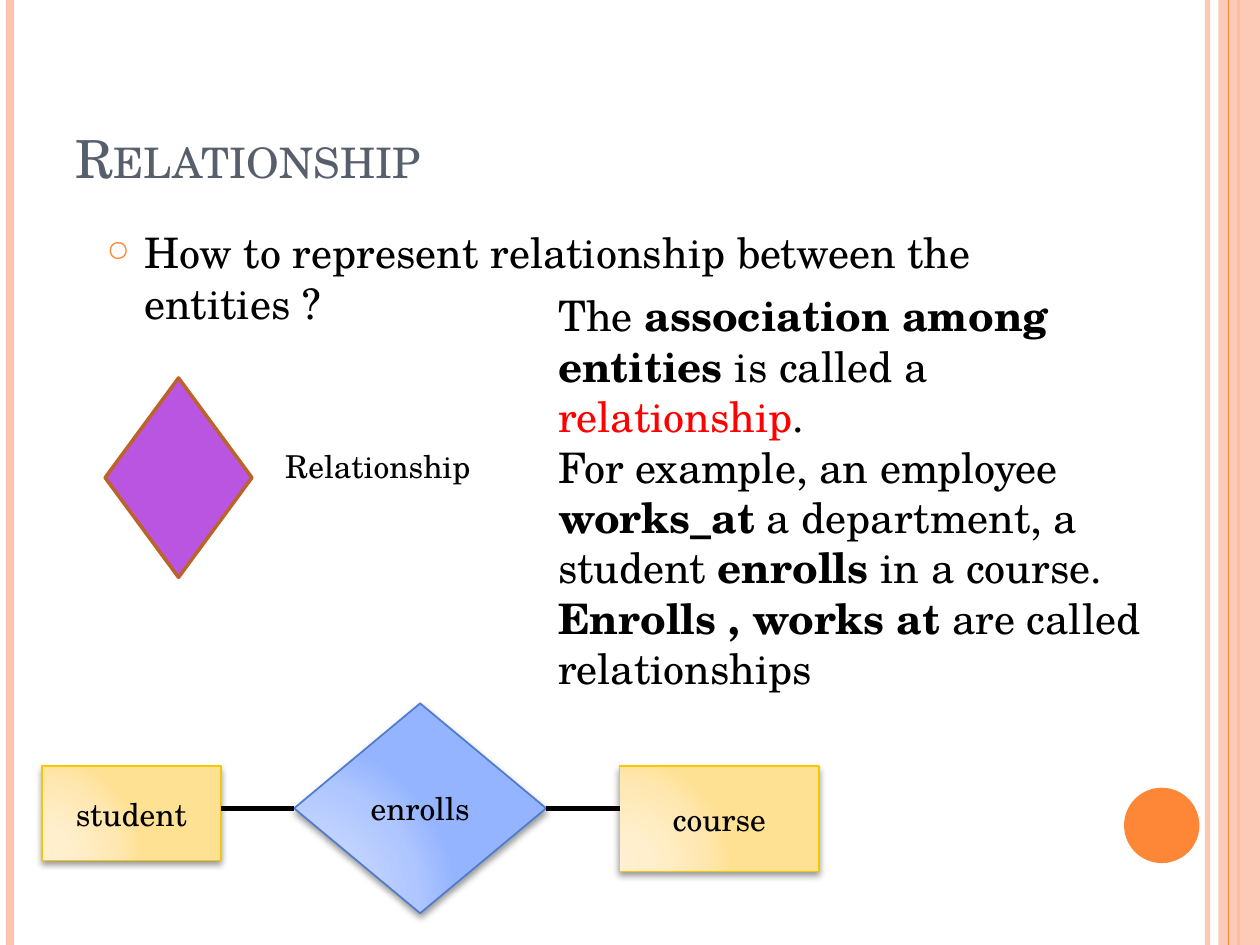
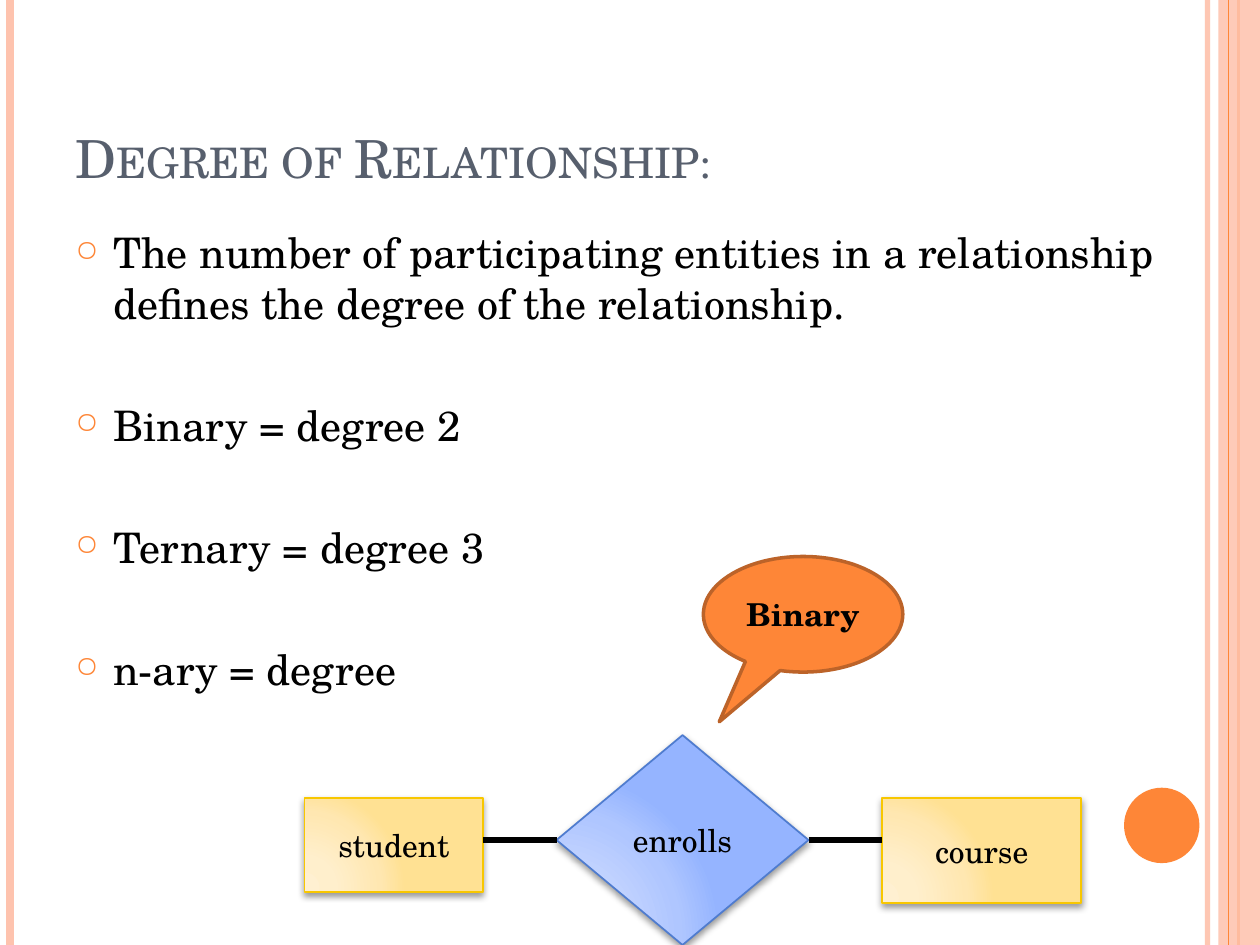
from dataclasses import dataclass

from pptx import Presentation
from pptx.dml.color import RGBColor
from pptx.enum.shapes import MSO_CONNECTOR, MSO_SHAPE
from pptx.enum.text import MSO_ANCHOR, PP_ALIGN
from pptx.oxml import parse_xml
from pptx.oxml.ns import nsdecls, qn
from pptx.util import Cm, Pt
from lxml.etree import SubElement


@dataclass(frozen=True)
class Theme:
    font: str = "TeX Gyre Schola"
    title_size: int = 30
    body_size: int = 24
    label_size: int = 18
    title: str = "575F6D"
    text: str = "000000"
    highlight: str = "FF0000"
    accent: str = "FE8637"
    accent_edge: str = "BC6329"
    band: str = "FEC3AE"
    legend: str = "B955E1"
    entity_edge: str = "F8C700"
    entity_fill: tuple = ("FFF0D1", "FFEFCC", "FFE7B1", "FFE193")
    relation_edge: str = "4F7CCF"
    relation_fill: tuple = ("CFDCFF", "CBD9FF", "AFC6FF", "95B4FF")
    gradient_stops: tuple = (0, 30, 75, 100)


THEME = Theme()
WIDTH, HEIGHT = 25.4, 19.05
BULLET_INDENT = 0.76
BLANK_LINE_GAP = 41

STRIPES = [
    (24.34, THEME.band, 3, 93),
    (0.2, THEME.band, 4.5, 100),
    (24.97, THEME.accent, 1.5, 100),
]
INNER_STRIPE = (24.77, THEME.accent, 0.75, 100)
SIDE_BAND = (24.56, 0, 0.84, HEIGHT)
DISC = (22.66, 15.88, 1.52, 1.52)
TITLE_BOX = (1.27, 0.76, 20.75, 3.18)

RELATIONSHIP = {
    "title": "Relationship",
    "body_box": (1.9, 4.45, 20.75, 13.54),
    "bullets": ["How to represent relationship between the entities ?"],
    "diamond_at": (5.93, 14.18),
}
DEGREE = {
    "title": "Degree of Relationship:",
    "body_box": (1.27, 4.45, 22.43, 13.54),
    "bullets": [
        "The number of participating entities in a relationship "
        "defines the degree of the relationship.",
        "Binary = degree 2",
        "Ternary = degree 3",
        "n-ary = degree",
    ],
    "diamond_at": (11.22, 14.82),
}

LEGEND_DIAMOND = (2.12, 7.62, 2.96, 4.02)
LEGEND_BOX = (5.5, 8.89, 6.15, 1.02)
LEGEND_TEXT = "Relationship"
DEFINITION_BOX = (11, 5.72, 13.12, 8.46)
BOLD, RED = {"bold": True}, {"color": THEME.highlight}
DEFINITION = [
    [
        ("The ", {}),
        ("association among entities ", BOLD),
        ("is called a ", {}),
        ("relationship", RED),
        (".", {}),
    ],
    [
        ("For example, an employee ", {}),
        ("works_at", BOLD),
        (" a department, a student ", {}),
        ("enrolls", BOLD),
        (" in a course. ", {}),
        ("Enrolls , works at", BOLD),
        (" are called relationships", {}),
    ],
]

DIAMOND_SIZE = (5.08, 4.23)
STUDENT_SIZE = (3.6, 1.9)
COURSE_SIZE = (4.02, 2.12)
LINK_LENGTH = 1.48
ENTITY_DROP = 1.27
CALLOUT_BOX = (14.18, 11.22, 4.02, 2.33)
CALLOUT_TIP = (-0.42, 0.93)


def rgb(value):
    return RGBColor.from_string(value)


def set_alpha(fill_parent, percent):
    if percent < 100:
        color = next(fill_parent.iter(qn("a:srgbClr")))
        SubElement(color, qn("a:alpha")).set("val", str(percent * 1000))


def add_run(paragraph, text, size, color=THEME.text, bold=False):
    run = paragraph.add_run()
    run.text = text
    run.font.name = THEME.font
    run.font.size = Pt(size)
    run.font.bold = bold
    run.font.color.rgb = rgb(color)
    return run


def add_text_frame(slide, box, anchor=MSO_ANCHOR.TOP):
    frame = slide.shapes.add_textbox(*map(Cm, box)).text_frame
    frame.word_wrap = True
    frame.vertical_anchor = anchor
    return frame


def add_paragraphs(frame, count):
    return [frame.paragraphs[0]] + [frame.add_paragraph() for _ in range(count - 1)]


def add_line(slide, start, end, color, width, alpha=100):
    line = slide.shapes.add_connector(
        MSO_CONNECTOR.STRAIGHT, *map(Cm, (*start, *end))
    )
    line.line.color.rgb = rgb(color)
    line.line.width = Pt(width)
    properties = line._element.spPr
    set_alpha(properties, alpha)
    SubElement(properties, qn("a:effectLst"))


def add_stripe(slide, left, color, width, alpha):
    add_line(slide, (left, 0), (left, HEIGHT), color, width, alpha)


def add_shape(slide, kind, box, fill=None, edge=None, edge_width=1):
    shape = slide.shapes.add_shape(kind, *map(Cm, box))
    shape.shadow.inherit = False
    if fill:
        shape.fill.solid()
        shape.fill.fore_color.rgb = rgb(fill)
    if edge:
        shape.line.color.rgb = rgb(edge)
        shape.line.width = Pt(edge_width)
    else:
        shape.line.fill.background()
    return shape


def add_label(shape, text, bold=False):
    frame = shape.text_frame
    frame.word_wrap = True
    frame.vertical_anchor = MSO_ANCHOR.MIDDLE
    paragraph = frame.paragraphs[0]
    paragraph.alignment = PP_ALIGN.CENTER
    add_run(paragraph, text, THEME.label_size, bold=bold)


def add_node(slide, kind, box, text, colors, edge):
    shape = add_shape(slide, kind, box, edge=edge)
    stops = "".join(
        f'<a:gs pos="{stop * 1000}"><a:srgbClr val="{color}"/></a:gs>'
        for stop, color in zip(THEME.gradient_stops, colors)
    )
    properties = shape._element.spPr
    properties.insert(2, parse_xml(
        f'<a:gradFill {nsdecls("a")} rotWithShape="1"><a:gsLst>{stops}</a:gsLst>'
        '<a:path path="circle"><a:fillToRect l="5000" t="100000" r="120000" '
        'b="10000"/></a:path></a:gradFill>'
    ))
    properties.find(qn("a:effectLst")).append(parse_xml(
        f'<a:outerShdw {nsdecls("a")} blurRad="{Pt(4)}" dist="{Pt(2)}" '
        'dir="5400000" rotWithShape="0"><a:srgbClr val="000000">'
        '<a:alpha val="40000"/></a:srgbClr></a:outerShdw>'
    ))
    add_label(shape, text)


def add_frame(slide):
    for stripe in STRIPES:
        add_stripe(slide, *stripe)
    band = add_shape(slide, MSO_SHAPE.RECTANGLE, SIDE_BAND, THEME.band)
    set_alpha(band._element.spPr, 87)
    add_stripe(slide, *INNER_STRIPE)
    add_shape(slide, MSO_SHAPE.OVAL, DISC, THEME.accent)


def add_title(slide, text):
    frame = add_text_frame(slide, TITLE_BOX, MSO_ANCHOR.BOTTOM)
    run = add_run(frame.paragraphs[0], text, THEME.title_size, THEME.title)
    run.font._element.set("cap", "small")


def add_bullets(slide, box, bullets):
    paragraphs = add_paragraphs(add_text_frame(slide, box), len(bullets))
    for index, (paragraph, text) in enumerate(zip(paragraphs, bullets)):
        properties = paragraph._element.get_or_add_pPr()
        properties.set("marL", str(Cm(BULLET_INDENT)))
        properties.set("indent", str(-Cm(BULLET_INDENT)))
        color = SubElement(properties, qn("a:buClr"))
        SubElement(color, qn("a:srgbClr")).set("val", THEME.accent)
        SubElement(properties, qn("a:buSzPct")).set("val", "70000")
        SubElement(properties, qn("a:buChar")).set("char", "○")
        if index:
            paragraph.space_before = Pt(BLANK_LINE_GAP)
        add_run(paragraph, text, THEME.body_size)


def add_enrolment_diagram(slide, left, top):
    width, height = DIAMOND_SIZE
    right, middle = left + width, top + height / 2
    student_right = left - LINK_LENGTH
    course_left = right + LINK_LENGTH
    entity_top = top + ENTITY_DROP
    entities = [
        ("student", student_right - STUDENT_SIZE[0], STUDENT_SIZE),
        ("course", course_left, COURSE_SIZE),
    ]
    for name, entity_left, size in entities:
        add_node(slide, MSO_SHAPE.RECTANGLE, (entity_left, entity_top, *size),
                 name, THEME.entity_fill, THEME.entity_edge)
    add_node(slide, MSO_SHAPE.FLOWCHART_DECISION, (left, top, width, height),
             "enrolls", THEME.relation_fill, THEME.relation_edge)
    for start, end in ((student_right, left), (right, course_left)):
        add_line(slide, (start, middle), (end, middle), THEME.text, 3)


def add_content_slide(presentation, content):
    slide = presentation.slides.add_slide(presentation.slide_layouts[6])
    add_frame(slide)
    add_title(slide, content["title"])
    add_bullets(slide, content["body_box"], content["bullets"])
    add_enrolment_diagram(slide, *content["diamond_at"])
    return slide


def add_definition(slide):
    add_shape(slide, MSO_SHAPE.FLOWCHART_DECISION, LEGEND_DIAMOND,
              THEME.legend, THEME.accent_edge, 2)
    legend = add_text_frame(slide, LEGEND_BOX)
    add_run(legend.paragraphs[0], LEGEND_TEXT, THEME.label_size)
    frame = add_text_frame(slide, DEFINITION_BOX)
    for paragraph, runs in zip(add_paragraphs(frame, len(DEFINITION)), DEFINITION):
        for text, style in runs:
            add_run(paragraph, text, THEME.body_size, **style)


def add_callout(slide):
    callout = add_shape(slide, MSO_SHAPE.OVAL_CALLOUT, CALLOUT_BOX,
                        THEME.accent, THEME.accent_edge, 2)
    for index, offset in enumerate(CALLOUT_TIP):
        callout.adjustments[index] = offset
    add_label(callout, "Binary", bold=True)


def main():
    presentation = Presentation()
    presentation.slide_width, presentation.slide_height = Cm(WIDTH), Cm(HEIGHT)
    add_definition(add_content_slide(presentation, RELATIONSHIP))
    add_callout(add_content_slide(presentation, DEGREE))
    presentation.save("out.pptx")


if __name__ == "__main__":
    main()
